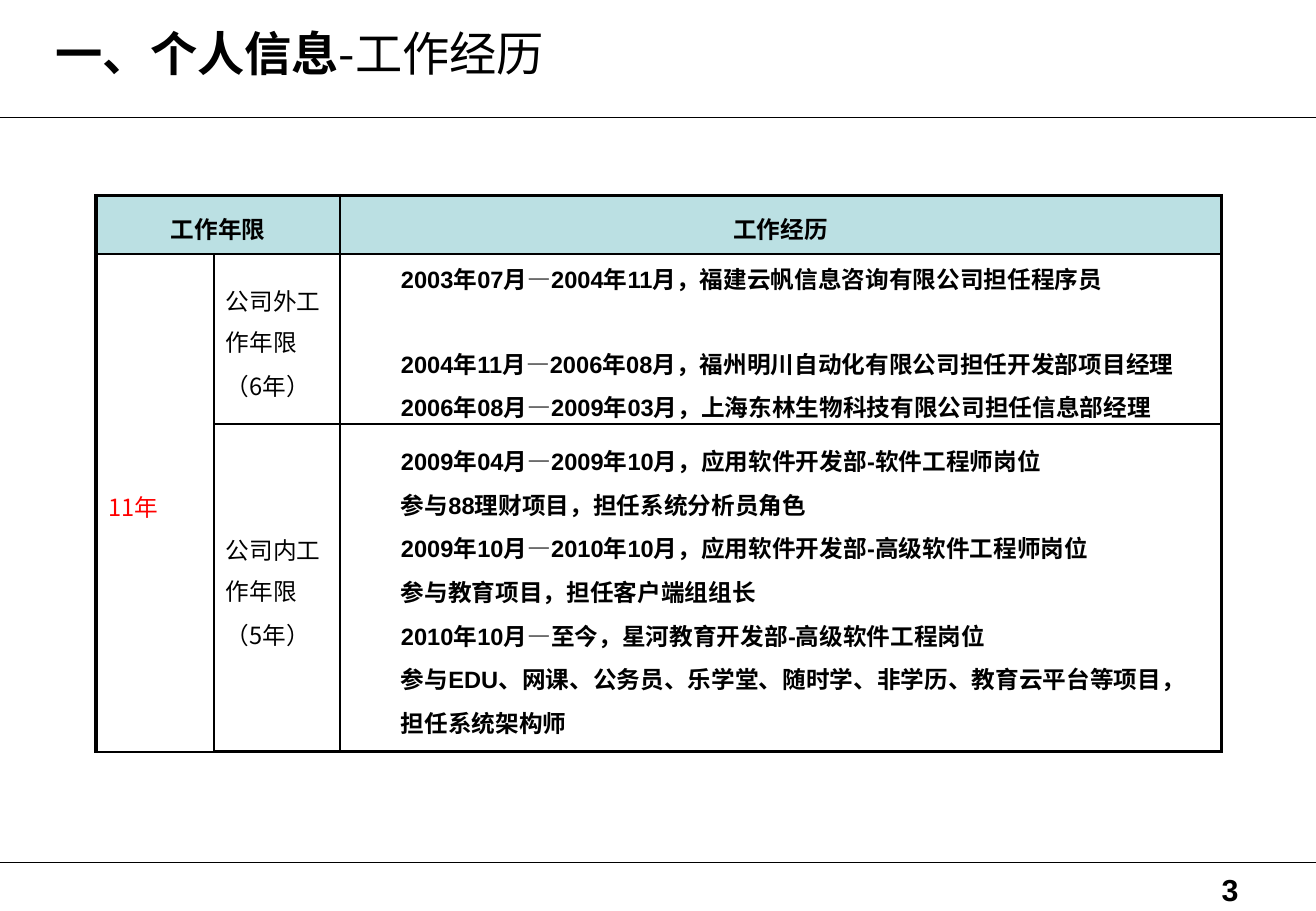
"""Build the work-experience slide: title, rules, career table and page number."""
import pptx
import pptx.dml.color
import pptx.enum.shapes
import pptx.enum.text
import pptx.oxml
import pptx.oxml.ns
import pptx.util

BLACK = pptx.dml.color.RGBColor(0, 0, 0)
RED = pptx.dml.color.RGBColor(0xFF, 0, 0)
PALE_TEAL = pptx.dml.color.RGBColor(0xBB, 0xE0, 0xE3)
CJK = "Noto Sans CJK SC"
Inches, Pt = pptx.util.Inches, pptx.util.Pt
ALIGN, ANCHOR = pptx.enum.text.PP_ALIGN, pptx.enum.text.MSO_ANCHOR

deck = pptx.Presentation()
deck.slide_width, deck.slide_height = Inches(10.83), Inches(7.5)
page = deck.slides.add_slide(deck.slide_layouts[6])
width, height = deck.slide_width, deck.slide_height


def add_span(para, text, color=BLACK, **font_values):
    """Append a formatted run that uses the CJK font for Chinese characters."""
    span = para.add_run()
    span.text = text
    for name, value in font_values.items():
        setattr(span.font, name, value)
    span.font.color.rgb = color
    east_asian = pptx.oxml.parse_xml(
        f'<a:ea {pptx.oxml.ns.nsdecls("a")} typeface="{CJK}"/>')
    span.font._element.find(pptx.oxml.ns.qn("a:latin")).addnext(east_asian)


def set_frame(frame, **frame_values):
    """Apply format values to a text frame or a table cell."""
    for name, value in frame_values.items():
        setattr(frame, name, value)


for share in (0.129, 0.947):
    rule = page.shapes.add_connector(
        pptx.enum.shapes.MSO_CONNECTOR.STRAIGHT,
        0, int(height * share), width, int(height * share))
    rule.line.color.rgb = BLACK
    rule.line.width = Pt(0.25)
    rule._element.spPr.append(
        pptx.oxml.parse_xml(f'<a:effectLst {pptx.oxml.ns.nsdecls("a")}/>'))

column_widths = [0.97, 1.04, 7.25]
row_heights = [0.48, 1.4, 2.7]
table = page.shapes.add_table(
    3, 3, Inches(0.79), Inches(1.61),
    Inches(sum(column_widths)), Inches(sum(row_heights))).table
table.first_row = table.horz_banding = False
for column, size in zip(table.columns, column_widths):
    column.width = Inches(size)
for row, size in zip(table.rows, row_heights):
    row.height = Inches(size)
table.cell(0, 0).merge(table.cell(0, 1))
table.cell(1, 0).merge(table.cell(2, 0))

header = {"bold": True, "name": CJK}
label = {"bold": False, "name": CJK}
career = {"bold": True, "name": "Arial"}
contents = {
    (0, 0): (header, ["工作年限"]),
    (0, 2): (header, ["工作经历"]),
    (1, 0): (label | {"color": RED}, ["11年"]),
    (1, 1): (label, ["公司外工作年限", "（6年）"]),
    (2, 1): (label, ["公司内工作年限", "（5年）"]),
    (1, 2): (career, [
        "2003年07月—2004年11月，福建云帆信息咨询有限公司担任程序员",
        "2004年11月—2006年08月，福州明川自动化有限公司担任开发部项目经理",
        "2006年08月—2009年03月，上海东林生物科技有限公司担任信息部经理"]),
    (2, 2): (career, [
        "2009年04月—2009年10月，应用软件开发部-软件工程师岗位",
        "参与88理财项目，担任系统分析员角色",
        "2009年10月—2010年10月，应用软件开发部-高级软件工程师岗位",
        "参与教育项目，担任客户端组组长",
        "2010年10月—至今，星河教育开发部-高级软件工程岗位",
        "参与EDU、网课、公务员、乐学堂、随时学、非学历、教育云平台等项目，",
        "担任系统架构师"]),
}
for (row, column), (font_values, lines) in contents.items():
    cell = table.cell(row, column)
    is_career = font_values is career
    side, edge = (0, 0) if is_career else (Inches(0.1), Inches(0.05))
    set_frame(cell, vertical_anchor=ANCHOR.MIDDLE, margin_left=side,
              margin_right=side, margin_top=edge, margin_bottom=edge)
    for index, line in enumerate(lines):
        para = cell.text_frame.paragraphs[0] if index == 0 else cell.text_frame.add_paragraph()
        para.line_spacing = 1.2
        para.space_before = Pt(1.4)
        para.alignment = ALIGN.CENTER if row == 0 else ALIGN.LEFT
        if is_career:
            para._p.get_or_add_pPr().set("marL", str(Inches(0.5)))
        add_span(para, line, size=Pt(14), **font_values)
table.cell(1, 2).text_frame.paragraphs[0].space_after = Pt(24.3)

for row in range(3):
    for column in range(3):
        cell = table.cell(row, column)
        if row == 0:
            cell.fill.solid()
            cell.fill.fore_color.rgb = PALE_TEAL
        else:
            cell.fill.background()
        outer_sides = {"L": column == 0, "R": column == 2, "T": row == 0, "B": row == 2}
        for position, (side, is_outer) in enumerate(outer_sides.items()):
            border_width = Pt(2.25 if is_outer else 1)
            cell._tc.get_or_add_tcPr().insert(position, pptx.oxml.parse_xml(
                f'<a:ln{side} {pptx.oxml.ns.nsdecls("a")} w="{border_width}">'
                f'<a:solidFill><a:srgbClr val="{BLACK}"/></a:solidFill></a:ln{side}>'))

title_box = page.shapes.add_textbox(Inches(0.36), Inches(0.2), int(width * 0.9), Inches(0.47))
set_frame(title_box.text_frame, word_wrap=True, margin_top=0, margin_bottom=0)
for text, bold in (("一、个人信息", True), ("-工作经历", False)):
    add_span(title_box.text_frame.paragraphs[0], text, size=Pt(28), bold=bold, name=CJK)

number_box = page.shapes.add_textbox(Inches(9.67), Inches(7.1), Inches(0.62), Inches(0.34))
set_frame(number_box.text_frame, word_wrap=True, margin_top=Inches(0.07), margin_bottom=0)
number_para = number_box.text_frame.paragraphs[0]
number_para.alignment = ALIGN.RIGHT
add_span(number_para, "3", size=Pt(18), bold=True, name="Arial")

deck.save("out.pptx")
